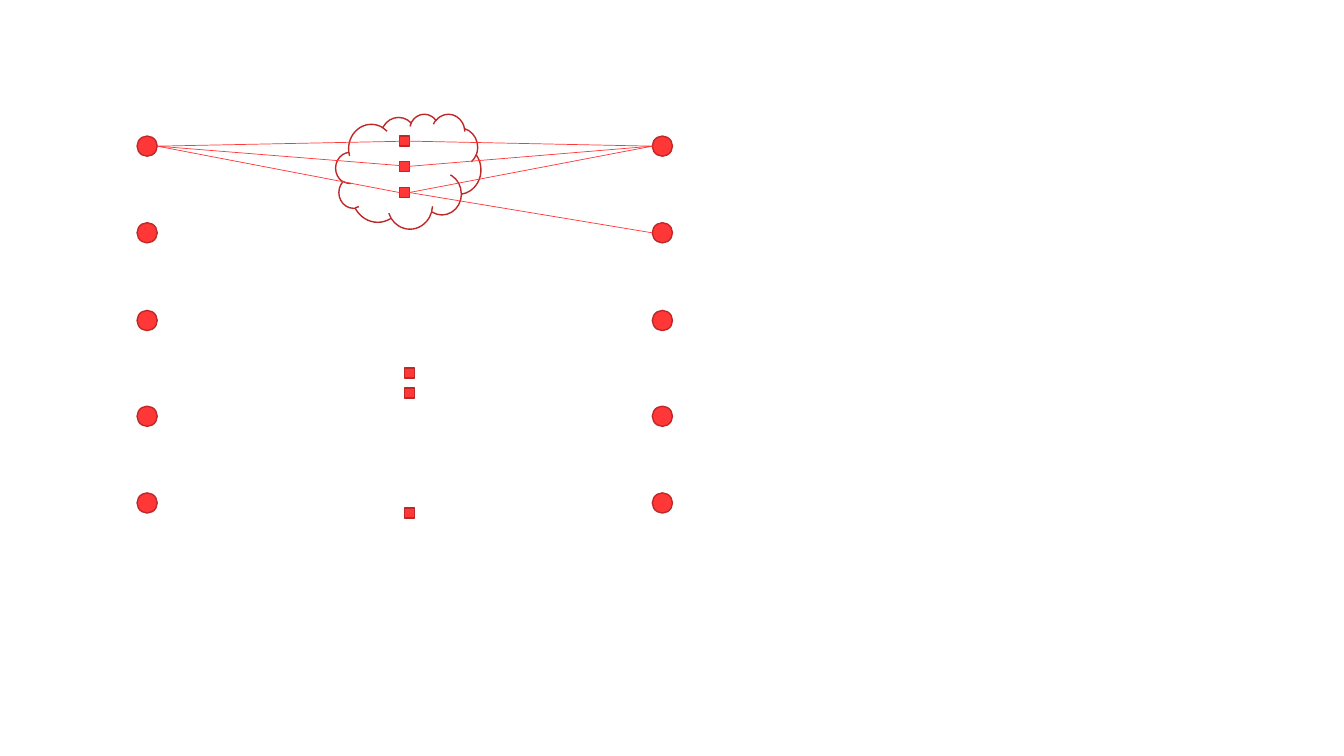
from pptx import Presentation, util as u
from pptx.dml.color import RGBColor
from pptx.enum import shapes
from pptx.oxml.ns import qn
from lxml import etree

COLS, ROWS = 133.3, 75  # fine grid over the slide
RED, DARK = "FF3737", "BD2929"
NODE, RELAY = 2, 1  # mark sizes in grid cells

prs = Presentation()
prs.slide_width, prs.slide_height = u.Inches(13.33), u.Inches(7.5)
s = prs.slides.add_slide(prs.slide_layouts[6])


def col(n):
    return round(prs.slide_width * n / COLS)


def row(n):
    return round(prs.slide_height * n / ROWS)


def paint(fmt, colour):
    fmt.solid()
    fmt.fore_color.rgb = RGBColor.from_string(colour)


def add_mark(kind, x, y, w, h, fill=None):
    sp = s.shapes.add_shape(kind, col(x), row(y), col(w), row(h))
    sp.shadow.inherit = False
    if fill:
        paint(sp.fill, fill)
    else:
        sp.fill.background()
    paint(sp.line.fill, DARK)
    sp.line.width = u.Pt(1)
    return sp


def add_link(start, end):
    line = s.shapes.add_connector(shapes.MSO_CONNECTOR.STRAIGHT, *start, *end)
    paint(line.line.fill, RED)
    line.line.width = u.Pt(0.5)
    etree.SubElement(line._element.spPr, qn("a:effectLst"))


def left_of(sp):
    return sp.left, sp.top + sp.height // 2


def right_of(sp):
    return sp.left + sp.width, sp.top + sp.height // 2


def network(x, y, w):
    """Two node columns at the sides of the box, relays between them."""
    kind = shapes.MSO_SHAPE
    add_mark(kind.CLOUD, x + 19.7, y, 14.4, 11.4)

    # End nodes
    node_rows = (2.2, 10.8, 19.5, 29, 37.6)
    sources, targets = (
        [add_mark(kind.OVAL, nx, y + dy, NODE, NODE, RED) for dy in node_rows]
        for nx in (x, x + w - NODE))

    # Relays: one group in the cloud, one below it
    cloud_relays, _ = (
        [add_mark(kind.RECTANGLE, x + dx, y + dy, RELAY, RELAY, RED) for dy in rows]
        for dx, rows in ((26, (2.2, 4.7, 7.3)), (26.5, (25.2, 27.2, 39.1))))

    # Links through the cloud
    top, middle, bottom = cloud_relays
    for relay, side in ((top, right_of), (middle, right_of), (bottom, left_of)):
        add_link(right_of(sources[0]), side(relay))
        add_link(right_of(relay), left_of(targets[0]))
    add_link(right_of(bottom), left_of(targets[1]))


network(13.6, 11.3, 53.1)
prs.save("out.pptx")
